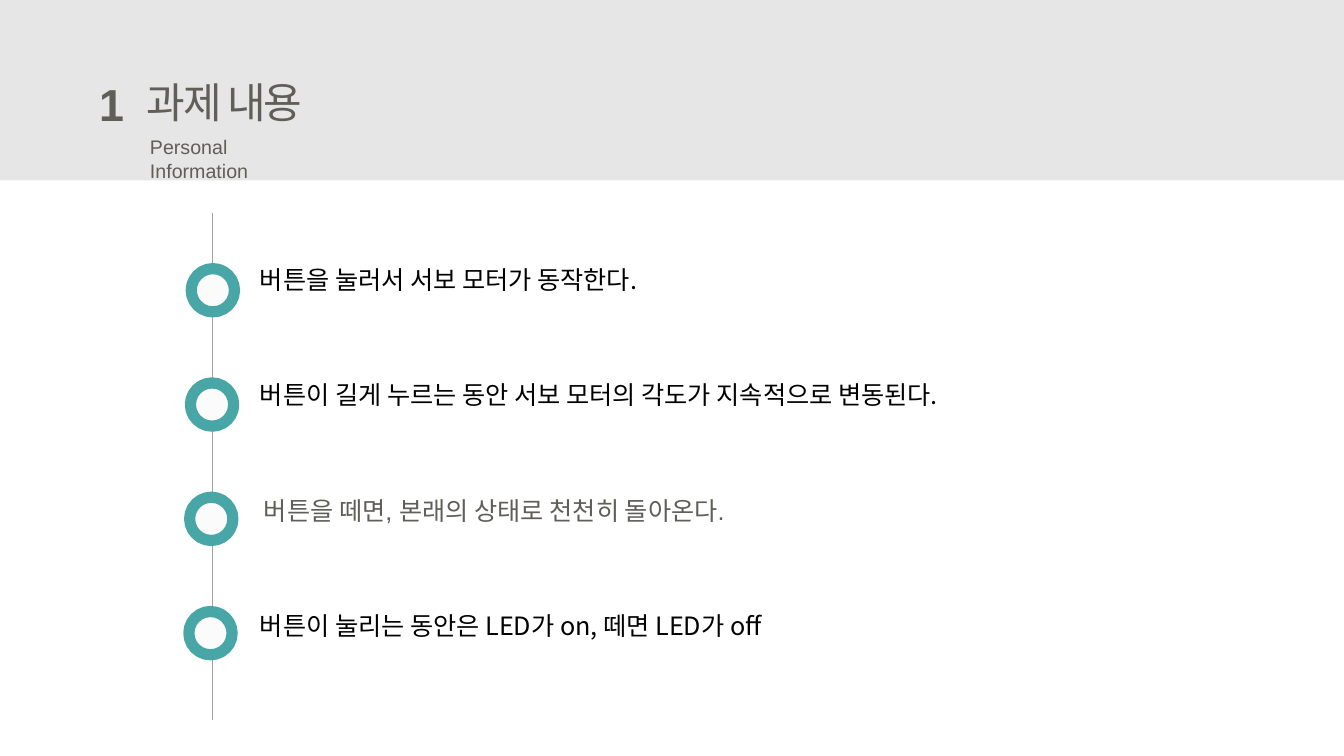
from lxml import etree
from pptx import Presentation
from pptx.dml.color import RGBColor
from pptx.enum import shapes, text
from pptx.oxml import ns
from pptx.util import Cm, Pt

HEX = {"band": "E7E6E6", "ink": "000000", "gray": "5F5E58",
       "line": "A1A099", "teal": "49A6A6", "disc": "FBFBFB"}
SANS, KOR = "Arial", "Noto Sans CJK KR"
STEPS = [
    ("버튼을 눌러서 서보 모터가 동작한다.", 6.3, 11.18, KOR, "ink"),
    ("버튼이 길게 누르는 동안 서보 모터의 각도가 지속적으로 변동된다.", 6.3, 19.63, KOR, "ink"),
    ("버튼을 떼면, 본래의 상태로 천천히 돌아온다.", 6.4, 13.31, SANS, "gray"),
    ("버튼이 눌리는 동안은 LED가 on, 떼면 LED가 off", 6.3, 14.3, KOR, "ink"),
]


def color(name):
    return RGBColor.from_string(HEX[name])


def add_form(slide, kind, box, fill, edge=None):
    form = slide.shapes.add_shape(kind, *map(Cm, box))
    form.shadow.inherit = False
    form.fill.solid()
    form.fill.fore_color.rgb = color(fill)
    if edge:
        form.line.color.rgb = color(edge)
        form.line.width = Pt(8)
    else:
        form.line.fill.background()


def add_text(slide, words, box, size, face, ink="gray", bold=False, right=False, gap=0):
    frame = slide.shapes.add_textbox(*map(Cm, box)).text_frame
    frame.word_wrap = True
    para = frame.paragraphs[0]
    para.alignment = text.PP_ALIGN.RIGHT if right else text.PP_ALIGN.LEFT
    run = para.add_run()
    run.text = words
    font = run.font
    font.size, font.name, font.bold = Pt(size), face, bold
    font.color.rgb = color(ink)
    props = run._r.get_or_add_rPr()
    etree.SubElement(props, ns.qn("a:ea")).set("typeface", KOR)
    if gap:
        props.set("spc", str(gap))


def add_line(slide, left, top, end):
    line = slide.shapes.add_connector(
        shapes.MSO_CONNECTOR.STRAIGHT, Cm(left), Cm(top), Cm(left), Cm(end))
    line.line.color.rgb = color("line")
    line.line.width = Pt(0.5)
    etree.SubElement(line._element.spPr, ns.qn("a:effectLst"))


def add_step(slide, row, words, left, width, face, ink):
    add_text(slide, words, (left, 6.53 + 2.91 * row, width, 1.03), 18, face, ink)
    add_form(slide, shapes.MSO_SHAPE.OVAL,
             (4.82 - 0.02 * row, 6.77 + 2.88 * row, 1.09, 1.09), "disc", "teal")


def main():
    """Build the task summary slide with its four-step timeline."""
    deck = Presentation()
    deck.slide_width, deck.slide_height = Cm(33.87), Cm(19.05)
    slide = deck.slides.add_slide(deck.slide_layouts[6])
    add_form(slide, shapes.MSO_SHAPE.RECTANGLE, (0, 0, 33.87, 4.55), "band")
    add_text(slide, "1", (2.24, 1.8, 1.14, 1.63), 32, SANS, bold=True, right=True)
    add_text(slide, "과제 내용", (3.45, 1.8, 4.9, 1.55), 30, KOR, gap=-150)
    add_text(slide, "Personal Information", (3.53, 3.28, 5.03, 0.86), 14, SANS)
    add_line(slide, 5.36, 5.36, 18.14)
    for row, step in enumerate(STEPS):
        add_step(slide, row, *step)
    deck.save("out.pptx")


if __name__ == "__main__":
    main()
